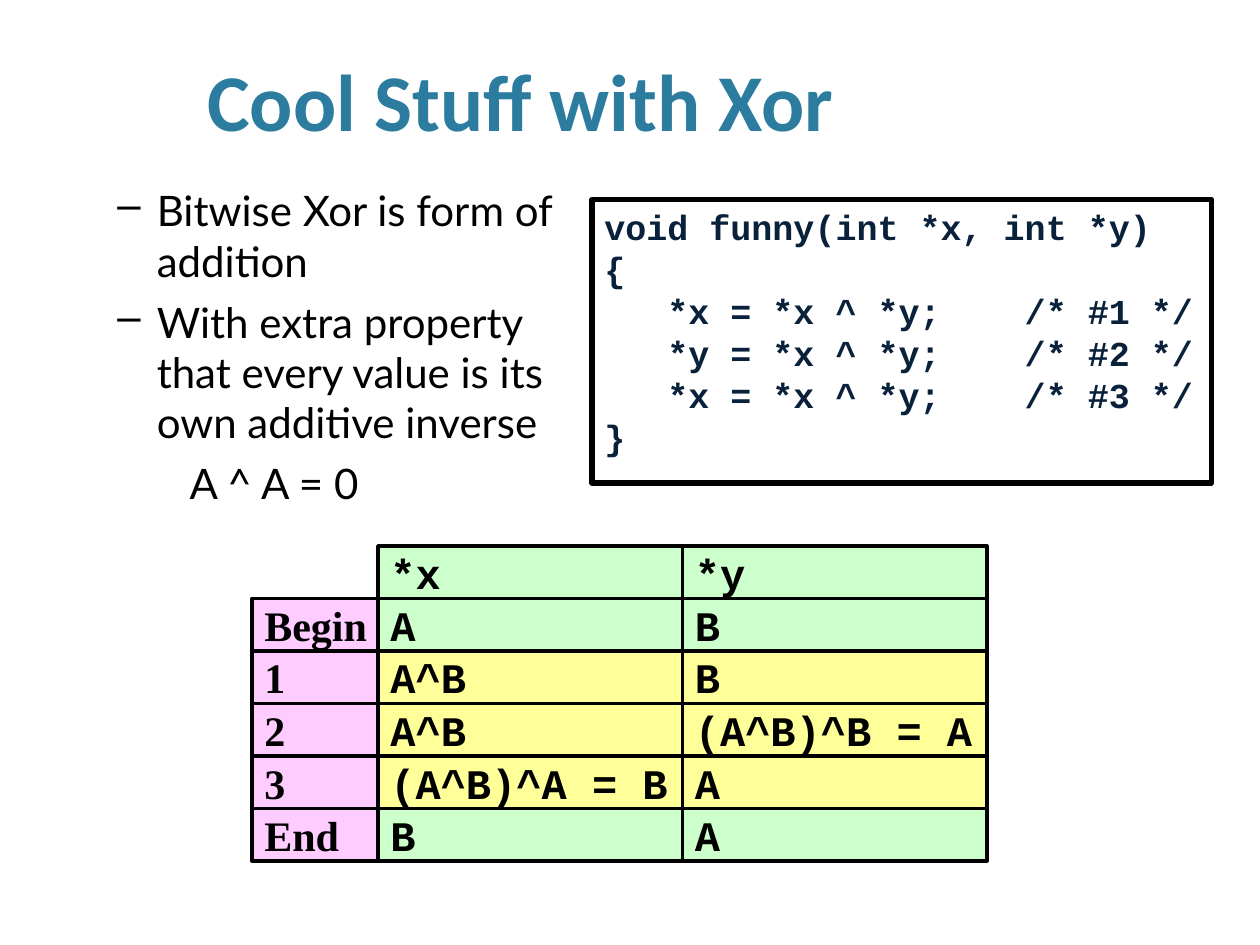
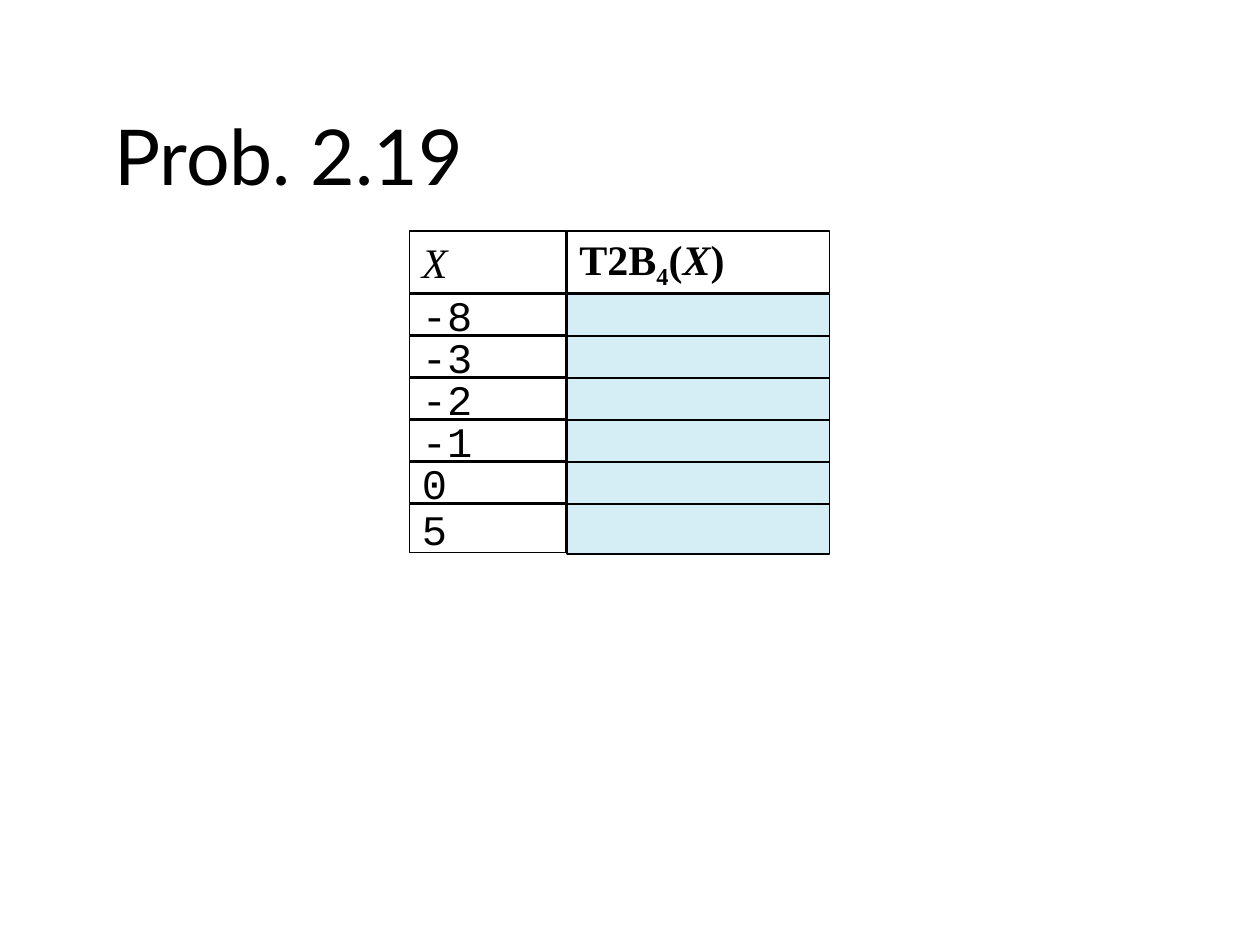
from pptx import Presentation
from pptx.dml.color import RGBColor
from pptx.enum.shapes import MSO_SHAPE as Shape
from pptx.enum.text import MSO_ANCHOR as Anchor, MSO_AUTO_SIZE as AutoSize, PP_ALIGN as Align
from pptx.oxml.ns import qn
from pptx.util import Pt
from lxml import etree

PX = 9525  # 96 px to the inch
BLACK, WHITE = "000000", "FFFFFF"
TITLE_BLUE, CODE_NAVY = "2C7C9F", "09213B"
GREEN, YELLOW, PINK, PALE_BLUE = "CCFFCC", "FFFF99", "FFCCFF", "D5EDF4"
SANS, SERIF, MONO = "Lato", "Times New Roman", "Courier New"


def add_rectangle(page, left, top, width, height, fill, line_width):
    box = page.shapes.add_shape(Shape.RECTANGLE, left * PX, top * PX, width * PX, height * PX)
    box.shadow.inherit = False
    if fill:
        box.fill.solid()
        box.fill.fore_color.rgb = RGBColor.from_string(fill)
    else:
        box.fill.background()
    box.line.color.rgb = RGBColor.from_string(BLACK)
    box.line.width = Pt(line_width)
    box.text_frame.word_wrap = False
    box.text_frame.vertical_anchor = Anchor.MIDDLE
    box.text_frame.paragraphs[0].alignment = Align.LEFT
    return box


def add_span(para, text, font, size, color=BLACK, bold=False, italic=False):
    span = para.add_run()
    span.text = text
    span.font.name = font
    span.font.size = Pt(size)
    span.font.bold = bold
    span.font.italic = italic
    span.font.color.rgb = RGBColor.from_string(color)
    return span


deck = Presentation()
deck.slide_width, deck.slide_height = 960 * PX, 720 * PX
blank = deck.slide_layouts[6]

# Slide 1: title
page = deck.slides.add_slide(blank)
title = page.shapes.add_textbox(88 * PX, 34 * PX, 617 * PX, 60 * PX)
title.text_frame.word_wrap = True
para = title.text_frame.paragraphs[0]
para.alignment = Align.CENTER
add_span(para, "Cool Stuff with Xor", "Calibri", 46, TITLE_BLUE, bold=True)

# Code listing
code_lines = [
    "void funny(int *x, int *y)",
    "{",
    "   *x = *x ^ *y;    /* #1 */",
    "   *y = *x ^ *y;    /* #2 */",
    "   *x = *x ^ *y;    /* #3 */",
    "}",
]
frame = add_rectangle(page, 451, 152, 472, 216, None, 3).text_frame
frame.word_wrap = True
frame.vertical_anchor = Anchor.TOP
for index, line in enumerate(code_lines):
    para = frame.add_paragraph() if index else frame.paragraphs[0]
    para.alignment = Align.LEFT
    add_span(para, line, MONO, 20, CODE_NAVY, bold=True)

# Dashed points, then the formula
points = [  # text, left margin, first-line indent, dash
    ("Bitwise Xor is form of addition", 78, -30, True),
    ("With extra property that every value is its own additive inverse", 78, -30, True),
    ("A ^ A = 0", 103, 0, False),
]
frame = page.shapes.add_textbox(32 * PX, 136 * PX, 400 * PX, 264 * PX).text_frame
frame.word_wrap = True
for index, (text, margin, indent, dash) in enumerate(points):
    para = frame.add_paragraph() if index else frame.paragraphs[0]
    if index:
        para.space_before = Pt(6)
    properties = para._p.get_or_add_pPr()
    properties.set("marL", str(margin * PX))
    properties.set("indent", str(indent * PX))
    if dash:
        bullet_color = etree.SubElement(properties, qn("a:buClr"))
        etree.SubElement(bullet_color, qn("a:srgbClr")).set("val", BLACK)
        etree.SubElement(properties, qn("a:buChar")).set("char", "–")
    add_span(para, text, SANS, 24)

# Trace of the swap
trace = [  # step, *x, *y, fill
    ("", "*x", "*y", GREEN),
    ("Begin", "A", "B", GREEN),
    ("1", "A^B", "B", YELLOW),
    ("2", "A^B", "(A^B)^B = A", YELLOW),
    ("3", "(A^B)^A = B", "A", YELLOW),
    ("End", "B", "A", GREEN),
]
for row, (step, x_value, y_value, fill) in enumerate(trace):
    cells = [
        (520, 232, y_value, fill, MONO),
        (288, 232, x_value, fill, MONO),
        (192, 96, step, PINK, SERIF),
    ]
    for left, width, text, color, font in cells:
        if text:
            box = add_rectangle(page, left, 416 + 40 * row, width, 40, color, 2)
            add_span(box.text_frame.paragraphs[0], text, font, 24, bold=True)

# Slide 2: title
page = deck.slides.add_slide(blank)
frame = page.shapes.add_textbox(80 * PX, 80 * PX, 292 * PX, 76 * PX).text_frame
frame.word_wrap = False
frame.auto_size = AutoSize.SHAPE_TO_FIT_TEXT
frame.margin_left = frame.margin_right = 7 * PX
frame.margin_top = frame.margin_bottom = 3 * PX
add_span(frame.paragraphs[0], "Prob. 2.19", SANS, 44)

# Header row
box = add_rectangle(page, 312, 176, 119, 47, WHITE, 1)
add_span(box.text_frame.paragraphs[0], "X", SERIF, 24, italic=True)
box = add_rectangle(page, 432, 176, 200, 47, WHITE, 1)
para = box.text_frame.paragraphs[0]
for text in ("T2B", "4", "(", "X", ")"):
    span = add_span(para, text, SERIF, 24, bold=True, italic=text == "X")
    if text == "4":
        span.font._element.set("baseline", "-25000")

# Values with blank answer cells
values = ["-8", "-3", "-2", "-1", "0", "5"]
for row, value in enumerate(values):
    top = 224 + 32 * row
    height = 37 if row == len(values) - 1 else 31
    box = add_rectangle(page, 312, top, 119, height, WHITE, 1)
    add_span(box.text_frame.paragraphs[0], value, MONO, 24)
    add_rectangle(page, 432, top, 200, 38, PALE_BLUE, 1)

deck.save("out.pptx")
